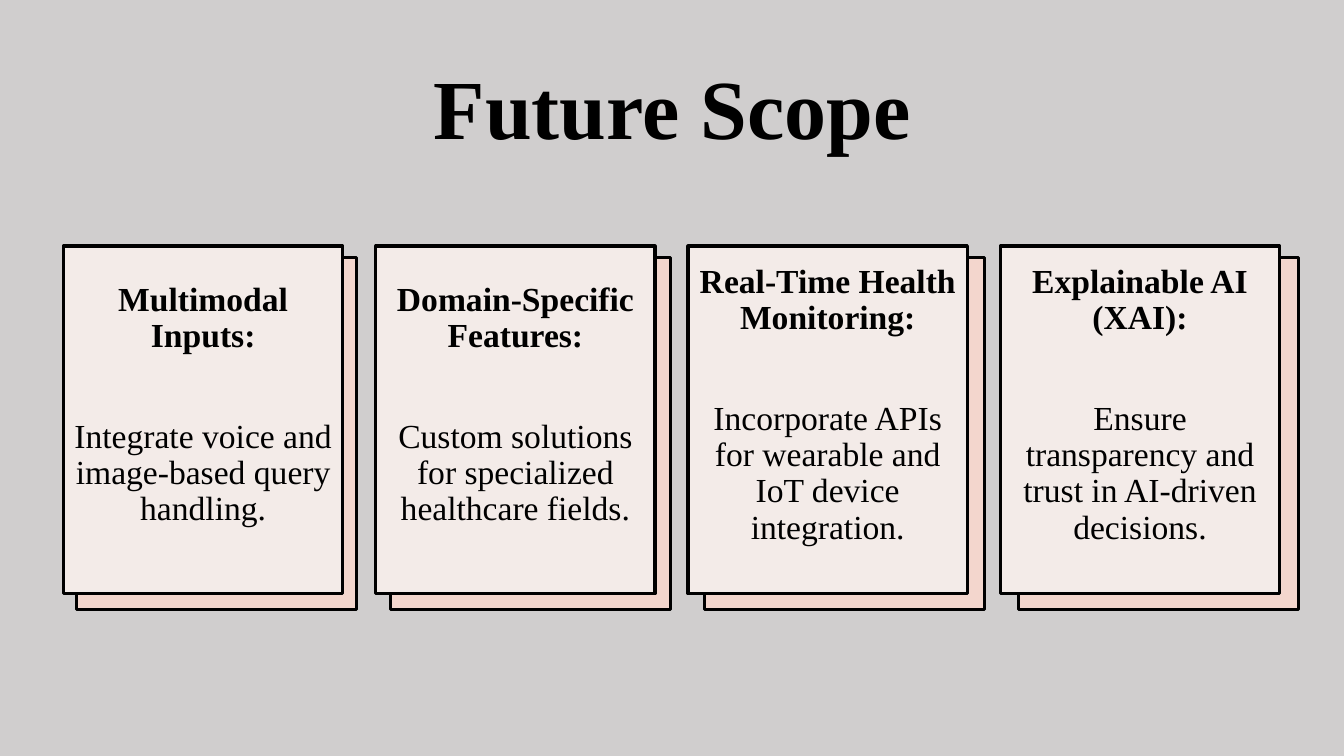
from pptx import Presentation
from pptx.dml.color import RGBColor
from pptx.enum.shapes import MSO_SHAPE
from pptx.enum.text import MSO_ANCHOR, PP_ALIGN
from pptx.util import Cm, Pt

COLORS = {
    "background": "D0CECE",
    "backing": "F3D6CD",
    "card": "F3EBE8",
    "ink": "000000",
}
FONT = "Times New Roman"
CARD_LEFT, CARD_TOP, CARD_STEP = 1.6, 6.2, 7.87
CARD_WIDTH, CARD_HEIGHT = 7.04, 8.76
BACKING_LEFT, BACKING_TOP, BACKING_STEP = 1.93, 6.48, 7.91
BACKING_WIDTH, BACKING_HEIGHT = 7.06, 8.89

TOPICS = [
    ("Multimodal Inputs:", "Integrate voice and image-based query handling."),
    ("Domain-Specific Features:",
     "Custom solutions for specialized healthcare fields."),
    ("Real-Time Health Monitoring:",
     "Incorporate APIs for wearable and IoT device integration."),
    ("Explainable AI (XAI):",
     "Ensure transparency and trust in AI-driven decisions."),
]


def color(name):
    return RGBColor.from_string(COLORS[name])


def write(paragraph, text, size=24, bold=False, before=0, spacing=0.9):
    paragraph.alignment = PP_ALIGN.CENTER
    paragraph.line_spacing = spacing
    paragraph.space_before = Pt(before)
    run = paragraph.add_run()
    run.text = text
    run.font.name = FONT
    run.font.size = Pt(size)
    run.font.bold = bold
    run.font.color.rgb = color("ink")


def add_panel(slide, left, top, width, height, fill, border):
    panel = slide.shapes.add_shape(
        MSO_SHAPE.RECTANGLE, Cm(left), Cm(top), Cm(width), Cm(height))
    panel.shadow.inherit = False
    panel.fill.solid()
    panel.fill.fore_color.rgb = color(fill)
    panel.line.color.rgb = color("ink")
    panel.line.width = Pt(border)
    return panel


def add_title(slide, text):
    title = slide.shapes.add_textbox(Cm(3.18), Cm(1.42), Cm(27.53), Cm(2.82))
    frame = title.text_frame
    frame.word_wrap = True
    frame.vertical_anchor = MSO_ANCHOR.MIDDLE
    write(frame.paragraphs[0], text, size=60, bold=True)


def add_card(slide, left, heading, detail):
    card = add_panel(slide, left, CARD_TOP, CARD_WIDTH, CARD_HEIGHT, "card", 2.25)
    frame = card.text_frame
    frame.word_wrap = True
    frame.vertical_anchor = MSO_ANCHOR.MIDDLE
    frame.margin_bottom = Cm(0.86)
    write(frame.paragraphs[0], heading, bold=True, before=10)
    write(frame.add_paragraph(), detail, before=46)


def main():
    deck = Presentation()
    deck.slide_width, deck.slide_height = Cm(33.87), Cm(19.05)
    slide = deck.slides.add_slide(deck.slide_layouts[6])
    slide.background.fill.solid()
    slide.background.fill.fore_color.rgb = color("background")

    for column in range(len(TOPICS)):
        add_panel(slide, BACKING_LEFT + column * BACKING_STEP, BACKING_TOP,
                  BACKING_WIDTH, BACKING_HEIGHT, "backing", 2)
    add_title(slide, "Future Scope")
    for column, (heading, detail) in enumerate(TOPICS):
        add_card(slide, CARD_LEFT + column * CARD_STEP, heading, detail)
    deck.save("out.pptx")


if __name__ == "__main__":
    main()
